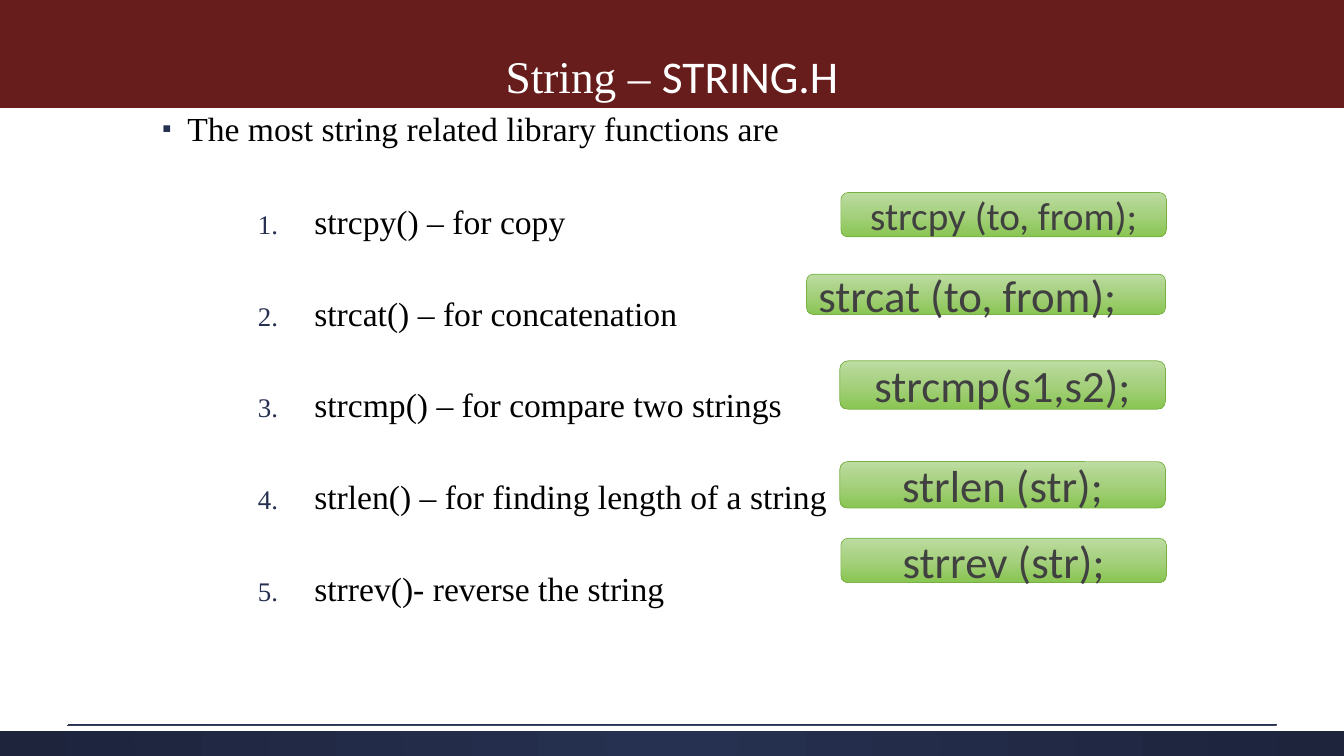
import pptx
import pptx.util
import pptx.oxml
import pptx.oxml.ns
from pptx.dml.color import RGBColor
from pptx.enum.shapes import MSO_CONNECTOR, MSO_SHAPE
from pptx.enum.text import MSO_ANCHOR, PP_ALIGN
from pptx.util import Inches, Pt

COLORS = {
    "navy": "263050", "navy_dark": "1D243C", "maroon": "671D1B",
    "white": "FFFFFF", "black": "000000", "grey": "404040",
    "green_light": "BDDCA1", "green_mid": "A5D07D", "green": "89C552",
    "green_edge": "77B142",
}
SERIF, SANS = "Times New Roman", "Calibri"
NAMESPACE = pptx.oxml.ns.nsdecls("a")


def rgb(name):
    return RGBColor.from_string(COLORS[name])


def add_text(para, text, size=24, font=SERIF, color="black"):
    span = para.add_run()
    span.text = text
    span.font.size = Pt(size)
    span.font.name = font
    span.font.color.rgb = rgb(color)


def set_gradient(shape, names, direction):
    """Fill with evenly spaced colours; direction is the a:lin or a:path XML."""
    step = 100000 // (len(names) - 1)
    stops = "".join(
        f'<a:gs pos="{i * step}"><a:srgbClr val="{COLORS[name]}"/></a:gs>'
        for i, name in enumerate(names))
    gradient = pptx.oxml.parse_xml(
        f'<a:gradFill {NAMESPACE} rotWithShape="1">'
        f"<a:gsLst>{stops}</a:gsLst>{direction}</a:gradFill>")
    shape.fill.background()
    empty = shape._element.spPr.find(pptx.oxml.ns.qn("a:noFill"))
    empty.getparent().replace(empty, gradient)


def set_bullet(para, marker, left, hanging):
    """Give a paragraph an indent and a small navy marker."""
    props = para._p.get_or_add_pPr()
    props.set("marL", str(Inches(left)))
    props.set("indent", str(-Inches(hanging)))
    for xml in (
        f'<a:buClr {NAMESPACE}><a:srgbClr val="{COLORS["navy"]}"/></a:buClr>',
        f'<a:buSzPct {NAMESPACE} val="80000"/>',
        f'<a:buFont {NAMESPACE} typeface="{SERIF}"/>',
        marker,
    ):
        props.append(pptx.oxml.parse_xml(xml))


class SlideBuilder:
    def __init__(self, page):
        self.page = page

    def box(self, left, top, width, height, kind=MSO_SHAPE.RECTANGLE, fill=None):
        shape = self.page.shapes.add_shape(
            kind, Inches(left), Inches(top), Inches(width), Inches(height))
        shape.shadow.inherit = False
        shape.line.fill.background()
        if fill:
            shape.fill.solid()
            shape.fill.fore_color.rgb = rgb(fill)
        return shape

    def footer(self):
        band = self.box(0, 7.2, 13.33, 0.3)
        set_gradient(band, ["navy", "navy_dark"],
                     '<a:path path="circle"><a:fillToRect l="50000" t="50000" '
                     'r="50000" b="50000"/></a:path>')
        self.box(0, 7.2, 13.33, 0.05, fill="white")
        rule = self.page.shapes.add_connector(
            MSO_CONNECTOR.STRAIGHT, Inches(0.67), Inches(7.19), Inches(12.67), Inches(7.19))
        rule.line.color.rgb = rgb("navy")
        rule.line.width = Pt(0.75)
        rule._element.spPr.append(pptx.oxml.parse_xml(f"<a:effectLst {NAMESPACE}/>"))

    def title(self, *parts):
        banner = self.box(0, 0, 13.33, 1.07, fill="maroon")
        banner.text_frame.word_wrap = True
        banner.text_frame.vertical_anchor = MSO_ANCHOR.BOTTOM
        para = banner.text_frame.paragraphs[0]
        para.alignment = PP_ALIGN.CENTER
        para.line_spacing = 3.0
        for text, font in parts:
            add_text(para, text, size=32.4, font=font, color="white")

    def function_list(self, heading, items):
        body = self.page.shapes.add_textbox(
            Inches(1.46), Inches(1.07), Inches(10.4), Inches(6.17))
        frame = body.text_frame
        frame.word_wrap = True
        para = frame.paragraphs[0]
        para.line_spacing = 0.9
        para.space_before = Pt(18)
        set_bullet(para, f'<a:buChar {NAMESPACE} char="▪"/>', 0.3, 0.25)
        add_text(para, heading)
        for item in items:
            para = frame.add_paragraph()
            para.level = 2
            para.line_spacing = 2.0
            para.space_before = Pt(8)
            set_bullet(para, f'<a:buAutoNum {NAMESPACE} type="arabicPeriod"/>', 1.56, 0.56)
            add_text(para, item)

    def call_label(self, text, left, top, width, height, size=32, align=PP_ALIGN.CENTER):
        label = self.box(left, top, width, height, MSO_SHAPE.ROUNDED_RECTANGLE)
        set_gradient(label, ["green_light", "green_mid", "green"],
                     '<a:lin ang="5400000" scaled="0"/>')
        label.line.color.rgb = rgb("green_edge")
        label.line.width = Pt(0.5)
        label.text_frame.word_wrap = True
        label.text_frame.vertical_anchor = MSO_ANCHOR.MIDDLE
        para = label.text_frame.paragraphs[0]
        para.alignment = align
        add_text(para, text, size=size, font=SANS, color="grey")


def main():
    deck = pptx.Presentation()
    deck.slide_width, deck.slide_height = Inches(13.33), Inches(7.5)
    slide = SlideBuilder(deck.slides.add_slide(deck.slide_layouts[6]))
    slide.footer()
    slide.title(("String – ", SERIF), ("STRING.H", SANS))
    slide.function_list("The most string related library functions are", [
        "strcpy() – for copy",
        "strcat() – for concatenation",
        "strcmp() – for compare two strings",
        "strlen() – for finding length of a string",
        "strrev()- reverse the string",
    ])
    slide.call_label("strcpy (to, from);", 8.34, 1.91, 3.23, 0.44, size=28)
    slide.call_label("strcat (to, from);", 8, 2.72, 3.56, 0.4, align=PP_ALIGN.LEFT)
    slide.call_label("strcmp(s1,s2);", 8.33, 3.58, 3.23, 0.48)
    slide.call_label("strlen (str);", 8.33, 4.58, 3.23, 0.46)
    slide.call_label("strrev (str);", 8.34, 5.34, 3.23, 0.44)
    deck.save("out.pptx")


if __name__ == "__main__":
    main()
